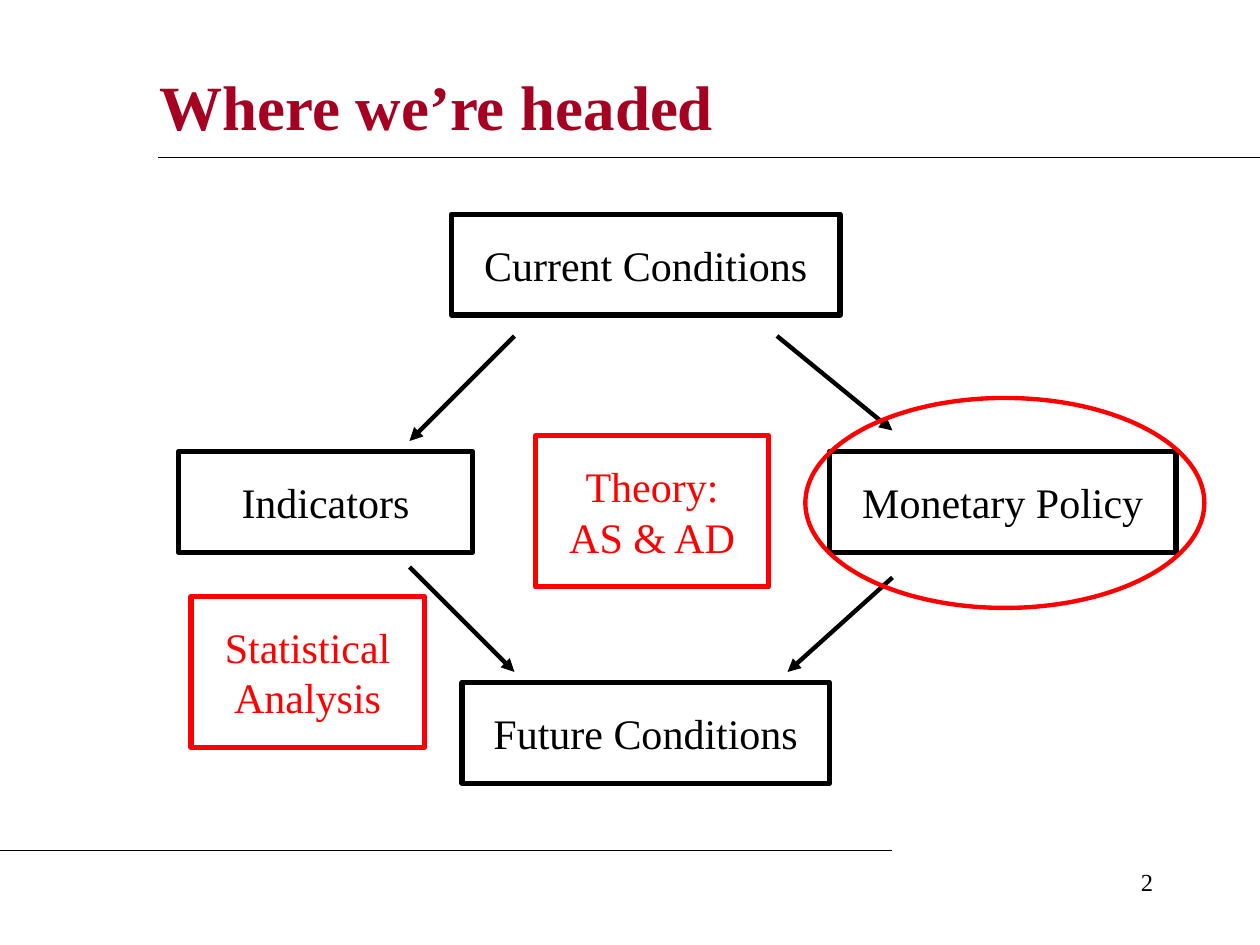
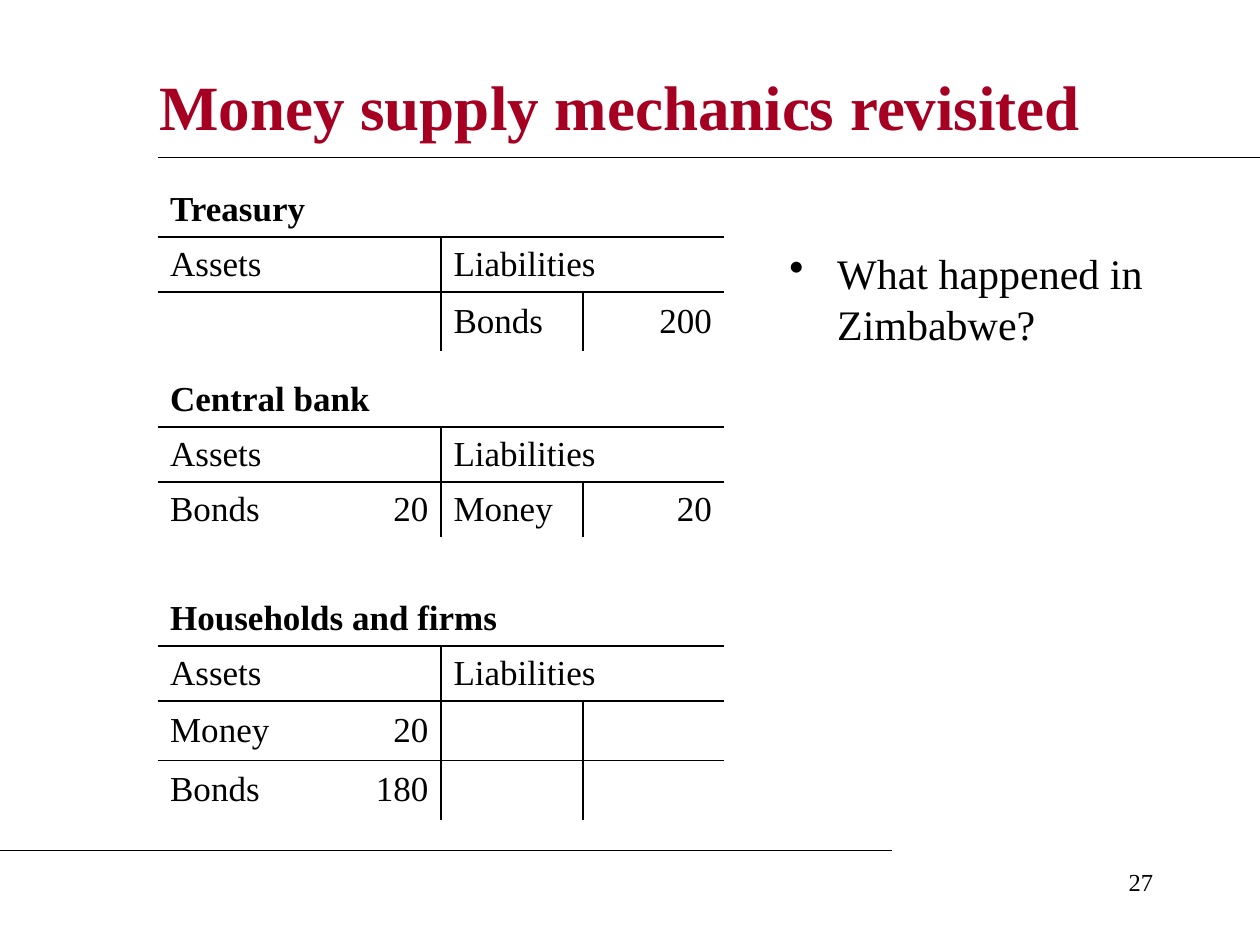
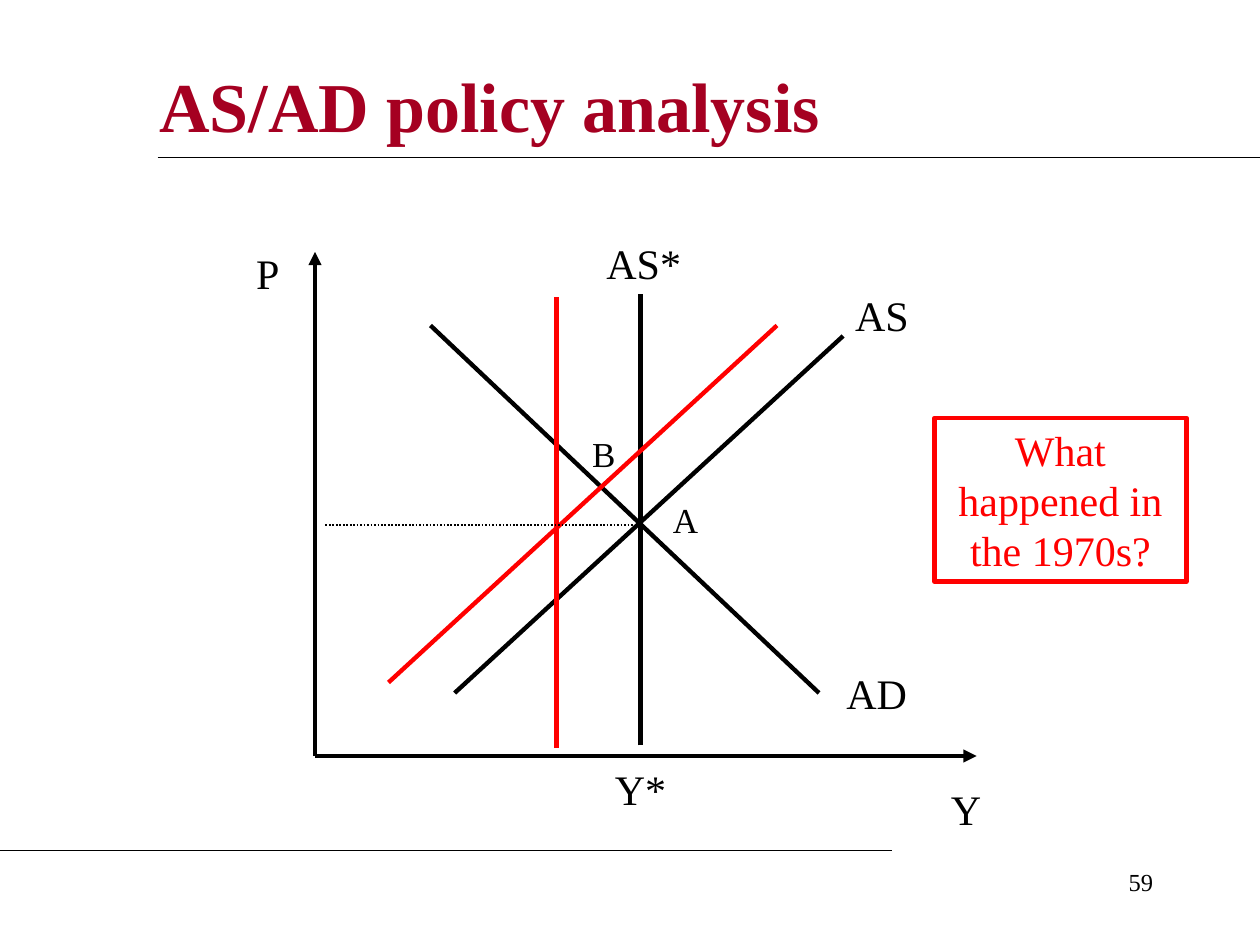
import pptx
import pptx.util
import pptx.oxml
import pptx.oxml.ns
import pptx.dml.color
import pptx.enum.dml
import pptx.enum.shapes
import pptx.enum.text
from lxml import etree

COLORS = {"ink": "000000", "title": "A50021", "alert": "FF0000", "page": "FFFFFF"}
FONT = "Times New Roman"
CELL = 1 / 12
PLAIN = "{2D5ABB26-0587-4C30-8999-92F81FD0307C}"
ALIGN = pptx.enum.text.PP_ALIGN
ANCHOR = pptx.enum.text.MSO_ANCHOR
SHAPE = pptx.enum.shapes.MSO_SHAPE
MAIN = (15, 15, 105, 66)
GRAPH = (30, 24, 63, 48)
SIDES = ("left", "top", "right", "bottom")


def rgb(name):
    return pptx.dml.color.RGBColor.from_string(COLORS[name])


def grid(value):
    return pptx.util.Inches(value * CELL)


def place(box, part):
    return [grid(n) for n in (box[0] + part[0], box[1] + part[1], *part[2:])]


def assign(item, values):
    for key, value in values.items():
        setattr(item, key, value)


def node(parent, tag, **attrs):
    return etree.SubElement(parent, pptx.oxml.ns.qn(tag), **attrs)


def write(frame, text, size=24, color="ink", bold=False, align=ALIGN.CENTER):
    para = frame.paragraphs[0]
    para.alignment = align
    run = para.add_run()
    run.text = text
    assign(run.font, {"name": FONT, "size": pptx.util.Pt(size), "bold": bold})
    run.font.color.rgb = rgb(color)
    return para


def label(slide, box, part, text, anchor=ANCHOR.TOP, **style):
    frame = slide.shapes.add_textbox(*place(box, part)).text_frame
    assign(frame, {"word_wrap": True, "vertical_anchor": anchor})
    return write(frame, text, **style)


def outline(slide, box, part, color, width, kind=SHAPE.RECTANGLE):
    shape = slide.shapes.add_shape(kind, *place(box, part))
    shape.shadow.inherit = False
    shape.fill.background()
    shape.line.color.rgb = rgb(color)
    shape.line.width = pptx.util.Pt(width)
    return shape


def panel(slide, box, part, text, color, width=3, pads=(0.2, 0.2)):
    frame = outline(slide, box, part, color, width).text_frame
    assign(frame, {"word_wrap": True, "vertical_anchor": ANCHOR.TOP})
    for side, pad in zip(SIDES, pads * 2):
        setattr(frame, "margin_" + side, pptx.util.Inches(pad))
    write(frame, text, color=color)


def line(slide, box, ends, color="ink", width=2.5, arrow=False, dash=None):
    points = [grid(n + box[i % 2]) for i, n in enumerate(ends)]
    kind = pptx.enum.shapes.MSO_CONNECTOR.STRAIGHT
    link = slide.shapes.add_connector(kind, *points)
    link.line.color.rgb = rgb(color)
    link.line.width = pptx.util.Pt(width)
    if dash:
        link.line.dash_style = dash
    props = link.line._get_or_add_ln()
    if arrow:
        node(props, "a:tailEnd", type="triangle")
    node(props.getparent(), "a:effectLst")


def frame(deck, title, number, size=36):
    slide = deck.slides.add_slide(deck.slide_layouts[6])
    slide.background.fill.solid()
    slide.background.fill.fore_color.rgb = rgb("page")
    page = (0, 0, 120, 90)
    label(slide, page, (86, 82, 25, 6), number, size=14, align=ALIGN.RIGHT)
    label(slide, page, (14, 5, 102, 10), title, ANCHOR.MIDDLE,
          size=size, color="title", bold=True, align=ALIGN.LEFT)
    for ends in ((15, 15, 120, 15), (0, 81, 85, 81)):
        line(slide, page, ends, width=0.75)
    return slide


def flow(slide, box):
    steps = (
        ("Indicators", (2, 28, 28, 9.6), "ink"),
        ("Monetary Policy", (64, 28, 33, 9.6), "ink"),
        ("Current Conditions", (28, 5.4, 37, 9.6), "ink"),
        ("Future Conditions", (29, 50, 35, 9.6), "ink"),
        ("Theory: AS & AD", (36, 26.5, 22.2, 14.4), "alert"),
        ("Statistical Analysis", (3.2, 41.8, 22.2, 14.4), "alert"),
    )
    for text, part, color in steps:
        panel(slide, box, part, text, color)
    for ends in ((34, 17, 24, 27), (59, 17, 70, 26), (70, 40, 60, 49), (24, 39, 34, 49)):
        line(slide, box, ends, arrow=True)
    outline(slide, box, (61.7, 22.9, 38, 20), "alert", 2.5, SHAPE.OVAL)


def border(cell, sides):
    props = cell._tc.get_or_add_tcPr()
    for side in sides:
        edge = node(props, "a:ln" + side, w=str(pptx.util.Pt(1.08)))
        node(node(edge, "a:solidFill"), "a:srgbClr", val=COLORS["ink"])


def sheet(slide, box, title, rows):
    cols = (17.76, 9.24, 13.56, 13.44)
    data = [(title, "", "", ""), ("Assets", "", "Liabilities", ""), *rows]
    part = (0, 0, sum(cols), 5.24 * len(data))
    table = slide.shapes.add_table(len(data), len(cols), *place(box, part)).table
    assign(table, {"first_row": False, "horz_banding": False})
    table._tbl.tblPr.find(pptx.oxml.ns.qn("a:tableStyleId")).text = PLAIN
    for col, width in zip(table.columns, cols):
        col.width = grid(width)
    for r, texts in enumerate(data):
        table.rows[r].height = grid(5.24 if r < 2 or all(texts) else 5.64)
        for c, text in enumerate(texts):
            cell = table.cell(r, c)
            sides = "L" * (r > 0 and c == 2) + "R" * (r > 0 and c == 1)
            border(cell, sides + "T" * (r in (1, 2)) + "B" * (r < 2))
            cell.fill.background()
            cell.vertical_anchor = ANCHOR.MIDDLE
            if text:
                align = ALIGN.RIGHT if c % 2 else ALIGN.LEFT
                write(cell.text_frame, text, 20, bold=r == 0, align=align)
    for r, first, last in ((0, 0, 3), (1, 0, 1), (1, 2, 3)):
        table.cell(r, first).merge(table.cell(r, last))


def bullet(slide, box, text):
    para = label(slide, box, (0, 0, *box[2:]), text, align=ALIGN.LEFT)
    props = para._p.get_or_add_pPr()
    indent = pptx.util.Inches(0.38)
    props.set("marL", str(indent))
    props.set("indent", str(-indent))
    node(props, "a:buChar", char="•")


def curves(slide, box):
    right, base = box[2:]
    for ends in ((0, base, right, base), (0, base, 0, 0)):
        line(slide, box, ends, arrow=True)
    for ends in ((13.3, 42, 50.3, 8), (48, 42, 11, 7), (31, 47, 31, 4)):
        line(slide, box, ends)
    for ends in ((23, 47.25, 23, 4.25), (7, 41, 44, 7)):
        line(slide, box, ends, "alert")
    line(slide, box, (1, 26, 31, 26), width=1, dash=pptx.enum.dml.MSO_LINE.ROUND_DOT)
    names = (
        ("Y", 58, 50, 8, 24), ("P", -8, -1, 7, 24), ("AS", 50, 3, 8, 24),
        ("AD", 48, 39, 11, 24), ("AS*", 26.3, -2, 10, 24), ("Y*", 27, 48.1, 8, 24),
        ("A", 31.8, 22.9, 7, 20), ("B", 24, 16.6, 7, 20),
    )
    for text, left, top, width, size in names:
        label(slide, box, (left, top, width, size / 4), text, size=size)
    panel(slide, box, (59, 15.8, 24, 15.6), "What happened in the 1970s?",
          "alert", 2.5, (0.1, 0.05))


def main():
    deck = pptx.Presentation()
    assign(deck, {"slide_width": grid(120), "slide_height": grid(90)})
    flow(frame(deck, "Where we’re headed", "2"), MAIN)

    slide = frame(deck, "Money supply mechanics revisited", "27")
    books = (
        (17.3, "Treasury", [("", "", "Bonds", "200")]),
        (35.4, "Central bank", [("Bonds", "20", "Money", "20")]),
        (56.3, "Households and firms", [("Money", "20", "", ""), ("Bonds", "180", "", "")]),
    )
    for top, title, rows in books:
        sheet(slide, (15, top), title, rows)
    bullet(slide, (74, 23, 41, 42), "What happened in Zimbabwe?")

    curves(frame(deck, "AS/AD policy analysis", "59", size=40), GRAPH)
    deck.save("out.pptx")


if __name__ == "__main__":
    main()
